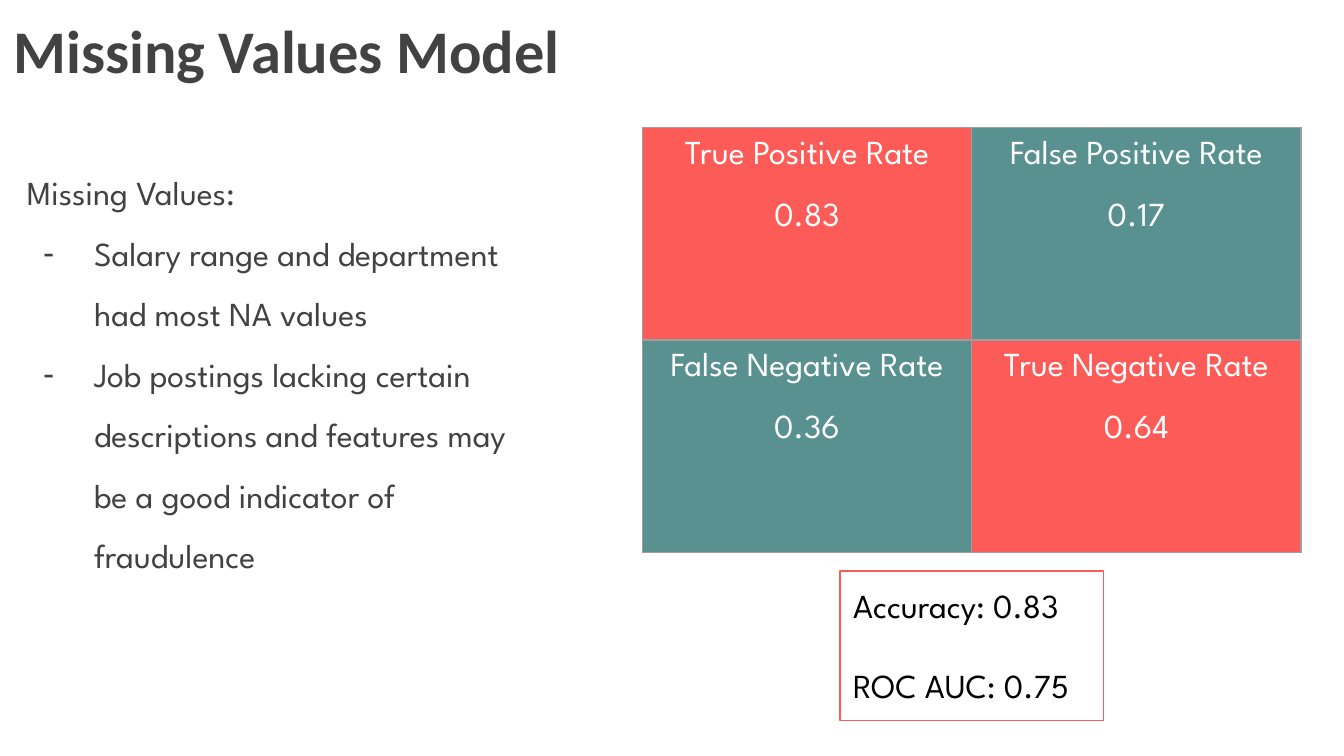
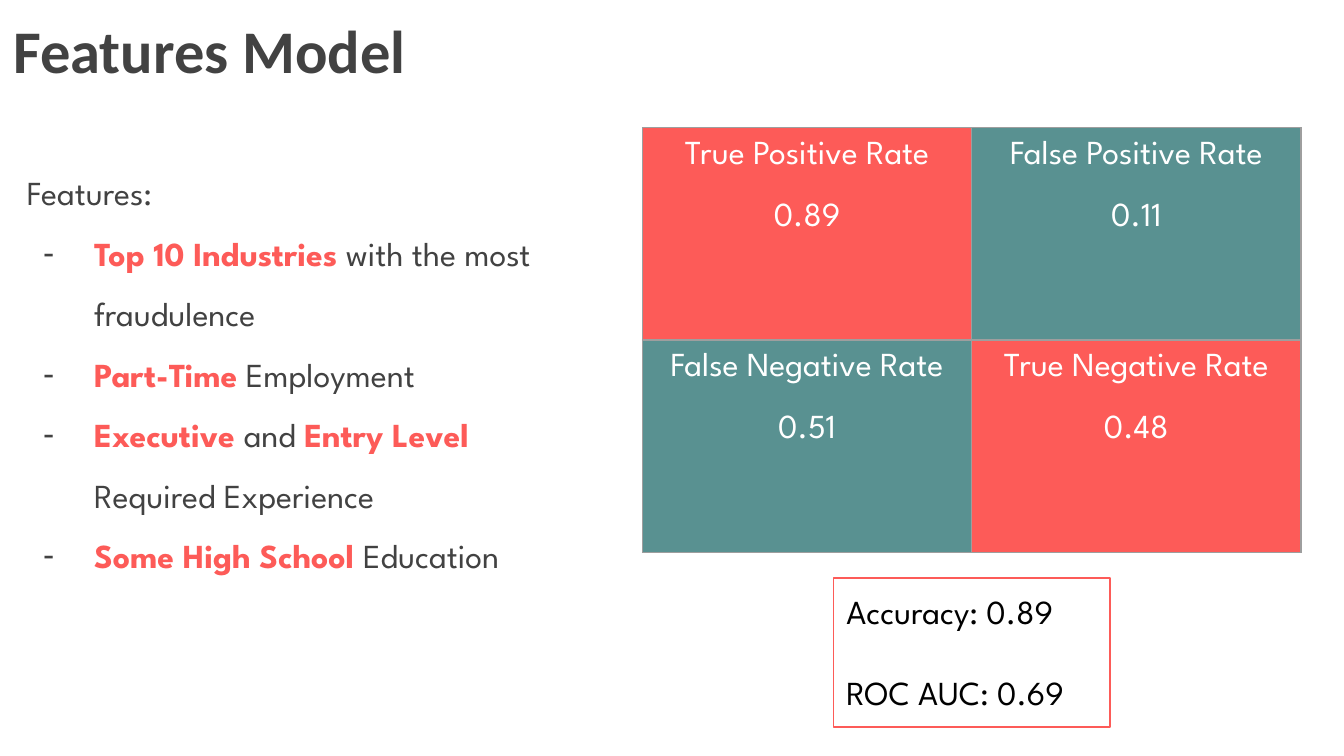
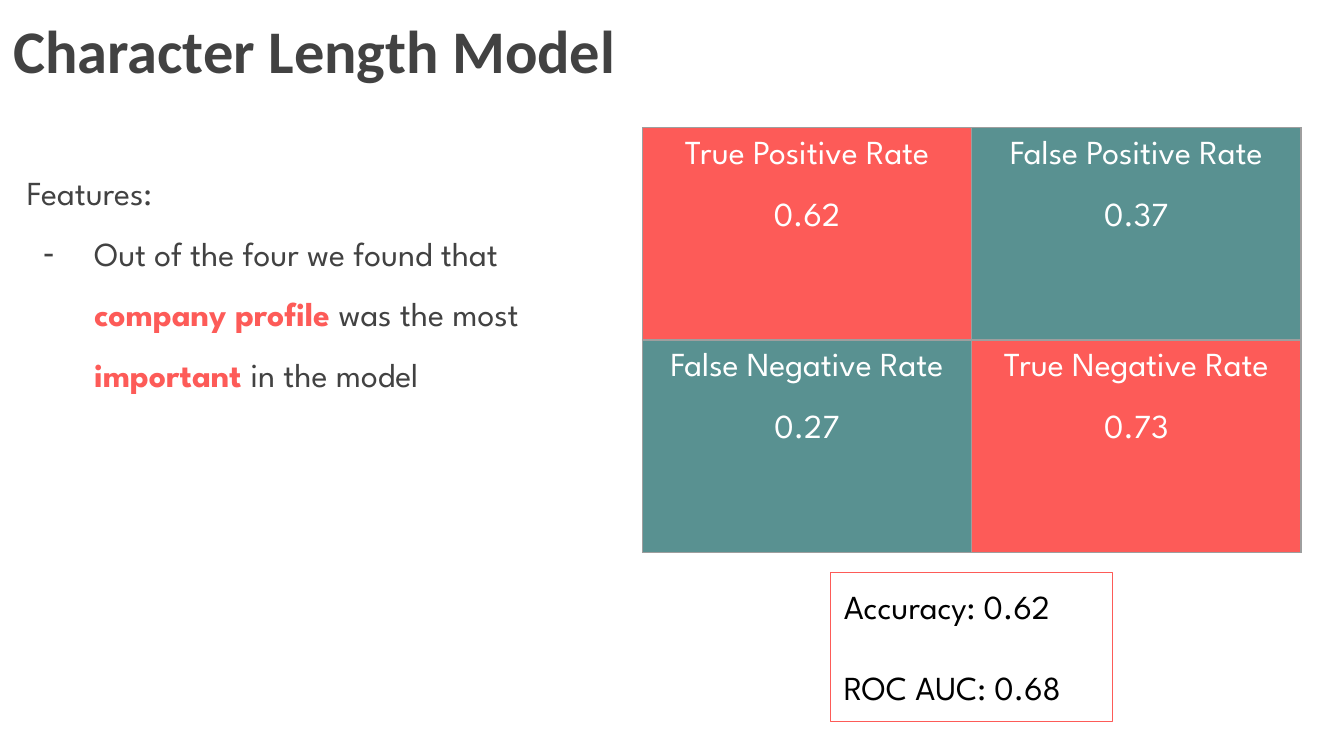
from itertools import product

from lxml.etree import SubElement
from pptx import Presentation
from pptx.dml.color import RGBColor
from pptx.enum.shapes import MSO_SHAPE
from pptx.enum.text import MSO_ANCHOR, MSO_AUTO_SIZE, PP_ALIGN
from pptx.oxml.ns import qn
from pptx.util import Inches, Pt

# Shared look
CORAL, TEAL, DARK, GREY = "FD5B58", "599191", "424242", "9E9E9E"
WHITE, BLACK = "FFFFFF", "000000"
TITLE_FONT, TEXT_FONT = "Calibri", "League Spartan"

# Shared grid: a 16:9 slide, 1000 steps wide
WIDTH = Inches(10)
HEIGHT = WIDTH * 9 // 16
STEP = WIDTH // 1000
COLUMN, ROW, MARGIN = 245 * STEP, 158 * STEP, 10 * STEP
TABLE_LEFT, TABLE_TOP = 478 * STEP, 95 * STEP
TABLE_CENTRE = TABLE_LEFT + COLUMN
SCORE_HEIGHT = 111 * STEP

RATES = ["True Positive Rate", "False Positive Rate",
         "False Negative Rate", "True Negative Rate"]

# Stars enclose the highlighted words of a point
MODELS = [
    {"title": "Missing Values Model", "heading": "Missing Values:",
     "points": ["Salary range and department had most NA values",
                "Job postings lacking certain descriptions and features may "
                "be a good indicator of fraudulence"],
     "rates": ["0.83", "0.17", "0.36", "0.64"],
     "scores": ["Accuracy: 0.83", "ROC AUC: 0.75"],
     "score_top": 425, "score_width": 196},
    {"title": "Features Model", "heading": "Features:",
     "points": ["*Top 10 Industries* with the most fraudulence",
                "*Part-Time* Employment",
                "*Executive *and *Entry Level *Required Experience",
                "*Some High School *Education"],
     "rates": ["0.89", "0.11", "0.51", "0.48"],
     "scores": ["Accuracy: 0.89", "ROC AUC: 0.69"],
     "score_top": 430, "score_width": 206},
    {"title": "Character Length Model", "heading": "Features:",
     "points": ["Out of the four we found that *company profile* was the most "
                "*important *in the model"],
     "rates": ["0.62", "0.37", "0.27", "0.73"],
     "scores": ["Accuracy: 0.62", "ROC AUC: 0.68"],
     "score_top": 426, "score_width": 210},
]


def colour(value):
    return RGBColor.from_string(value)


def write(frame, lines, ink, font=TEXT_FONT, size=18, bold=False,
          align=PP_ALIGN.LEFT, gap=0):
    """Fill a text frame with evenly styled paragraphs, `gap` points apart."""
    frame.word_wrap = True
    frame.margin_left = frame.margin_right = MARGIN
    frame.margin_top = frame.margin_bottom = MARGIN
    frame.vertical_anchor = MSO_ANCHOR.TOP
    for number, line in enumerate(lines):
        para = frame.add_paragraph() if number else frame.paragraphs[0]
        para.alignment = align
        para.space_before = Pt(gap if number else 0)
        para.font.name, para.font.size = font, Pt(size)
        para.font.bold, para.font.color.rgb = bold, colour(ink)
        for part, words in enumerate(line.split("*")):
            if words:
                span = para.add_run()
                span.text = words
                if part % 2:
                    span.font.bold, span.font.color.rgb = True, colour(CORAL)


deck = Presentation()
deck.slide_width, deck.slide_height = WIDTH, HEIGHT

for model in MODELS:
    page = deck.slides.add_slide(deck.slide_layouts[1])

    # Title
    title = page.shapes.title
    title.left, title.top, title.width, title.height = 0, 0, 769 * STEP, 70 * STEP
    write(title.text_frame, [model["title"]], DARK, TITLE_FONT, 32.4, True)
    title.text_frame.auto_size = MSO_AUTO_SIZE.NONE

    # Heading and dashed list
    body = page.placeholders[1]
    body.left, body.top, body.width, body.height = (
        10 * STEP, 88 * STEP, 397 * STEP, 418 * STEP)
    write(body.text_frame, [model["heading"]] + model["points"], DARK)
    body.text_frame.auto_size = MSO_AUTO_SIZE.NONE
    for number, para in enumerate(body.text_frame.paragraphs):
        para.line_spacing = 1.5 if number else 2.0
        properties = para._p.get_or_add_pPr()
        properties.set("marL", str(50 * STEP if number else 0))
        properties.set("indent", str(-38 * STEP if number else 0))
        defaults = properties.find(qn("a:defRPr"))
        if number:
            bullet_colour = SubElement(properties, qn("a:buClr"))
            SubElement(bullet_colour, qn("a:srgbClr"), val=DARK)
            SubElement(properties, qn("a:buChar"), char="-")
        else:
            SubElement(properties, qn("a:buNone"))
        properties.append(defaults)

    # Confusion matrix
    table = page.shapes.add_table(
        2, 2, TABLE_LEFT, TABLE_TOP, 2 * COLUMN, 2 * ROW).table
    for number, (row, column) in enumerate(product(range(2), repeat=2)):
        cell = table.cell(row, column)
        properties = cell._tc.get_or_add_tcPr()
        for side in ("a:lnL", "a:lnR", "a:lnT", "a:lnB"):
            border = SubElement(properties, qn(side), w=str(Pt(0.75)))
            ink = SubElement(border, qn("a:solidFill"))
            SubElement(ink, qn("a:srgbClr"), val=GREY)
        cell.fill.solid()
        cell.fill.fore_color.rgb = colour(CORAL if row == column else TEAL)
        cell.margin_left = cell.margin_right = MARGIN
        cell.margin_top = cell.margin_bottom = MARGIN
        write(cell.text_frame, [RATES[number], model["rates"][number]], WHITE,
              align=PP_ALIGN.CENTER, gap=16.6)

    # Scores, centred under the matrix
    width = model["score_width"] * STEP
    box = page.shapes.add_shape(
        MSO_SHAPE.RECTANGLE, TABLE_CENTRE - width // 2,
        model["score_top"] * STEP, width, SCORE_HEIGHT)
    box.shadow.inherit = False
    box.fill.background()
    box.line.color.rgb, box.line.width = colour(CORAL), Pt(0.75)
    write(box.text_frame, model["scores"], BLACK, gap=21.6)

deck.save("out.pptx")
